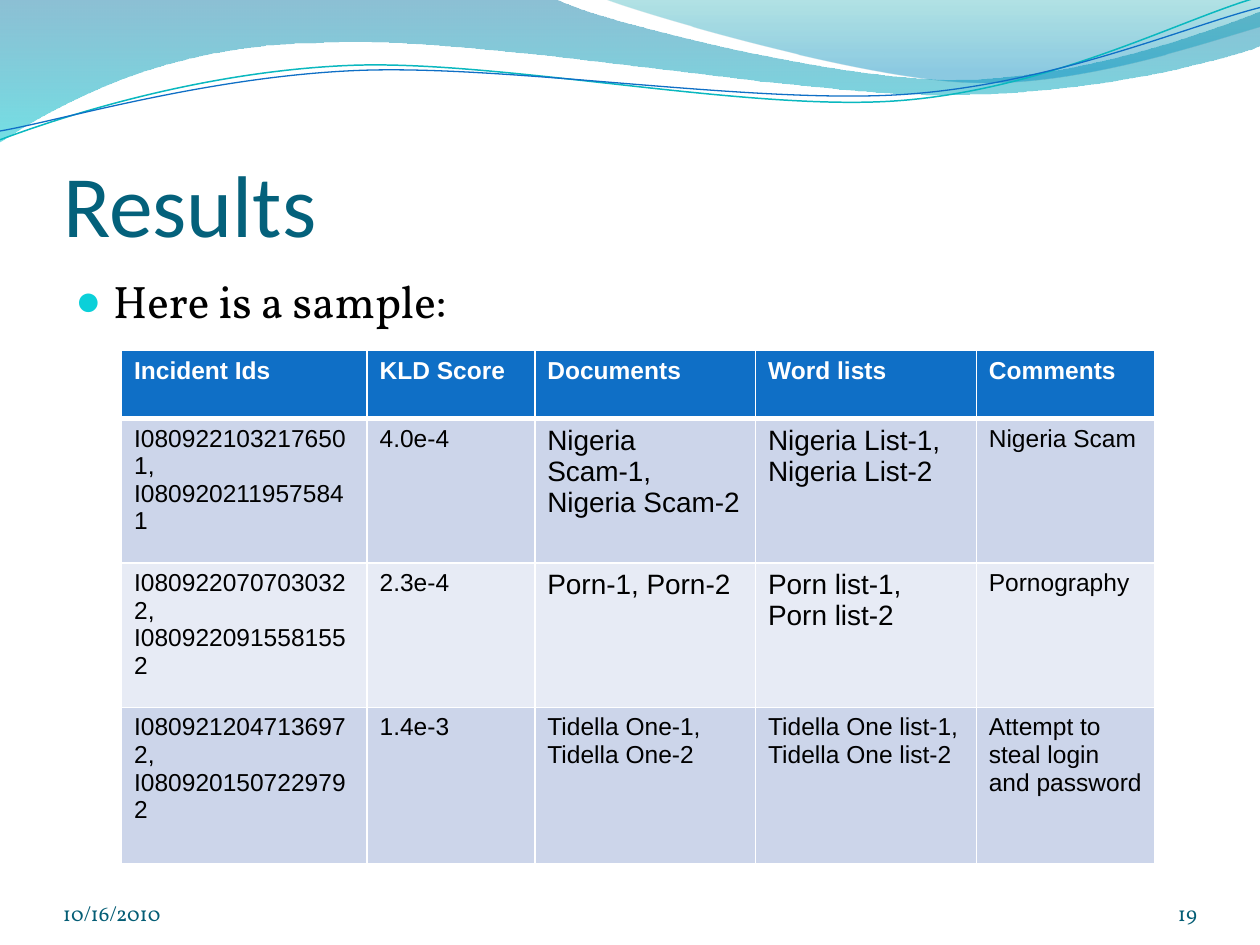
from lxml import etree
from pptx import Presentation
from pptx.dml.color import RGBColor
from pptx.enum.text import MSO_ANCHOR, PP_ALIGN
from pptx.oxml.ns import qn
from pptx.util import Cm, Pt

LEFT, RIGHT = PP_ALIGN.LEFT, PP_ALIGN.RIGHT
TOP, BOTTOM = MSO_ANCHOR.TOP, MSO_ANCHOR.BOTTOM
TITLE_ONLY = 5
CM_PER_INCH = 2.54

COLORS = {
    "title": "04617B", "footer": "045D75", "text": "000000", "white": "FFFFFF",
    "bullet": "0BD0D9", "header": "0F6FC6", "odd": "CCD5EA", "even": "E7EBF5",
    "teal line": "0AB8BF", "blue line": "0F6FC6",
    "deep blue": "0074A1", "aqua": "00C6CF", "teal": "00A1A9", "sky": "008BBF",
}
HEADING_FONT, BODY_FONT, TABLE_FONT = "Calibri", "Vollkorn", "Arial"

# Wave outlines in inches: two numbers are a line end, six a cubic curve.
LEFT_WAVE = [
    (0, -0.01), (4.4, -0.01), (4.76, 0.17, 6.64, 0.63, 7.58, 0.63),
    (8.53, 0.63, 9.58, 0.26, 10, 0.09), (10.01, 0.36),
    (9.83, 0.44, 8.7, 0.76, 7.46, 0.75), (6.22, 0.75, 3.82, 0.28, 2.57, 0.34),
    (1.29, 0.35, 0.46, 0.83, -0.01, 1.13), (0, -0.01),
]
RIGHT_WAVE = [
    (4.79, -0.01), (5.09, 0.11, 6.82, 0.62, 7.69, 0.65),
    (8.56, 0.69, 9.61, 0.32, 10, 0.21), (10, 0), (4.79, -0.01),
]
TEAL_CURVE = [
    (0, 1.11), (0.48, 0.93, 1.58, 0.57, 2.77, 0.52),
    (3.95, 0.47, 5.93, 0.89, 7.13, 0.8), (8.33, 0.71, 9.38, 0.15, 9.98, -0.02),
]
BLUE_CURVE = [
    (0, 1.04), (0.47, 0.96, 1.64, 0.61, 2.83, 0.56),
    (4.03, 0.51, 5.97, 0.83, 7.17, 0.75), (8.36, 0.67, 9.41, 0.21, 10, 0.06),
]

COLUMN_WIDTHS = [4.95, 3.38, 4.45, 4.45, 3.6]
ROW_HEIGHTS = [1.37, 2.91, 2.91, 3.16]
ROWS = [
    ["Incident Ids", "KLD Score", "Documents", "Word lists", "Comments"],
    ["I0809221032176501, I0809202119575841", "4.0e-4",
     "Nigeria Scam-1, Nigeria Scam-2", "Nigeria List-1, Nigeria List-2",
     "Nigeria Scam"],
    ["I0809220707030322, I0809220915581552", "2.3e-4", "Porn-1, Porn-2",
     "Porn list-1,\nPorn list-2", "Pornography"],
    ["I0809212047136972, I0809201507229792", "1.4e-3",
     "Tidella One-1,\nTidella One-2", "Tidella One list-1,\nTidella One list-2",
     "Attempt to steal login and password"],
]
LARGE_CELLS = {(r, c) for r in (1, 2) for c in (2, 3)}


def rgb(name):
    return RGBColor.from_string(COLORS[name])


class Deck:
    """Holds the style and the current slide."""

    def __init__(self, prs):
        self.slide = prs.slides.add_slide(prs.slide_layouts[TITLE_ONLY])

    def style(self, p, size, color, font, bold=False, align=LEFT):
        p.alignment = align
        p.font.size, p.font.name, p.font.bold = Pt(size), font, bold
        p.font.color.rgb = rgb(color)

    def frame(self, sp, box, text, anchor, insets=None):
        sp.left, sp.top, sp.width, sp.height = map(Cm, box)
        tf = sp.text_frame
        tf.word_wrap, tf.vertical_anchor, tf.text = True, anchor, text
        if insets:
            (tf.margin_left, tf.margin_top,
             tf.margin_right, tf.margin_bottom) = map(Cm, insets)
        return tf.paragraphs[0]

    def title(self, text, box):
        p = self.frame(self.slide.shapes.title, box, text, BOTTOM, (0, 0.13, 0, 0))
        self.style(p, 50, "title", HEADING_FONT)

    def text_box(self, text, box, anchor=TOP, insets=None):
        sp = self.slide.shapes.add_textbox(*map(Cm, box))
        return self.frame(sp, box, text, anchor, insets)

    def bullet(self, text, box):
        p = self.text_box(text, box)
        self.style(p, 26, "text", BODY_FONT)
        p.space_before = Pt(5)
        pPr = p._p.get_or_add_pPr()
        pPr.set("marL", str(Cm(0.76)))
        pPr.set("indent", str(-Cm(0.76)))
        color = etree.Element(qn("a:buClr"))
        etree.SubElement(color, qn("a:srgbClr"), val=COLORS["bullet"])
        size = etree.Element(qn("a:buSzPct"), val="95000")
        font = etree.Element(qn("a:buFont"), typeface=TABLE_FONT)
        char = etree.Element(qn("a:buChar"), char="●")
        pos = list(pPr).index(pPr.find(qn("a:spcBef"))) + 1
        pPr[pos:pos] = [color, size, font, char]

    def footer(self, text, box, align=LEFT):
        p = self.text_box(text, box, BOTTOM, (0, 0, 0, 0))
        self.style(p, 12, "footer", BODY_FONT, align=align)

    def freeform(self, outline, close):
        """Draw straight segments, then join each three of a curve into one cubic."""
        segments = [[(Cm(x * CM_PER_INCH), Cm(y * CM_PER_INCH))
                     for x, y in zip(seg[::2], seg[1::2])] for seg in outline]
        builder = self.slide.shapes.build_freeform(*segments[0][0])
        builder.add_line_segments([pt for seg in segments[1:] for pt in seg], close=close)
        sp = builder.convert_to_shape()
        sp.shadow.inherit = False
        lines = iter(list(sp._element.iter(qn("a:lnTo"))))
        for seg in segments[1:]:
            first, *rest = [next(lines) for _ in seg]
            if rest:
                cubic = etree.Element(qn("a:cubicBezTo"))
                first.addprevious(cubic)
                for line in (first, *rest):
                    cubic.append(line[0])
                    line.getparent().remove(line)
        return sp

    def wave(self, outline, stops):
        """Filled wave; each stop is (position, colour, opacity in percent)."""
        sp = self.freeform(outline, True)
        sp.line.fill.background()
        sp.fill.gradient()
        sp.fill.gradient_angle = 270
        for stop, (position, color, _) in zip(sp.fill.gradient_stops, stops):
            stop.position, stop.color.rgb = position, rgb(color)
        clrs = list(sp._element.spPr.iter(qn("a:srgbClr")))
        for clr, (_, _, opacity) in zip(clrs, stops):
            etree.SubElement(clr, qn("a:alpha"), val=str(opacity * 1000))

    def curve(self, outline, color, width):
        sp = self.freeform(outline, False)
        sp.fill.background()
        sp.line.color.rgb, sp.line.width = rgb(color), Pt(width)

    def borders(self, cell, **widths):
        tcPr = cell._tc.get_or_add_tcPr()
        for i, (side, width) in enumerate(widths.items()):
            ln = etree.Element(qn(f"a:ln{side}"), w=str(Pt(width)))
            fill = etree.SubElement(ln, qn("a:solidFill"))
            etree.SubElement(fill, qn("a:srgbClr"), val=COLORS["white"])
            tcPr.insert(i, ln)

    def table(self, rows, left, top):
        size = Cm(sum(COLUMN_WIDTHS)), Cm(sum(ROW_HEIGHTS))
        table = self.slide.shapes.add_table(
            len(rows), len(COLUMN_WIDTHS), Cm(left), Cm(top), *size).table
        for column, width in zip(table.columns, COLUMN_WIDTHS):
            column.width = Cm(width)
        for r, (row, height) in enumerate(zip(rows, ROW_HEIGHTS)):
            table.rows[r].height = Cm(height)
            header = r == 0
            fill = "header" if header else "odd" if r % 2 else "even"
            for c, text in enumerate(row):
                cell = table.cell(r, c)
                cell.text = text
                cell.fill.solid()
                cell.fill.fore_color.rgb = rgb(fill)
                self.borders(cell, L=1, R=1, T=3 if r == 1 else 1, B=3 if header else 1)
                for p in cell.text_frame.paragraphs:
                    self.style(p, 16 if (r, c) in LARGE_CELLS else 14,
                               "white" if header else "text", TABLE_FONT, header)


def main():
    prs = Presentation()
    prs.slide_width, prs.slide_height = Cm(25.4), Cm(19.05)
    deck = Deck(prs)
    deck.wave(LEFT_WAVE, [(0, "deep blue", 45), (1, "aqua", 55)])
    deck.wave(RIGHT_WAVE, [(0, "teal", 30), (0.8, "sky", 45)])
    deck.curve(TEAL_CURVE, "teal line", 0.85)
    deck.curve(BLUE_CURVE, "blue line", 0.75)
    deck.title("Results", (1.27, 1.96, 22.86, 3.18))
    deck.bullet("Here is a sample:", (1.27, 5.38, 22.86, 12.19))
    deck.footer("10/16/2010", (1.27, 17.65, 5.92, 1.02))
    deck.footer("19", (22.02, 17.65, 2.11, 1.02), RIGHT)
    deck.table(ROWS, 2.45, 7.07)
    prs.save("out.pptx")


if __name__ == "__main__":
    main()
